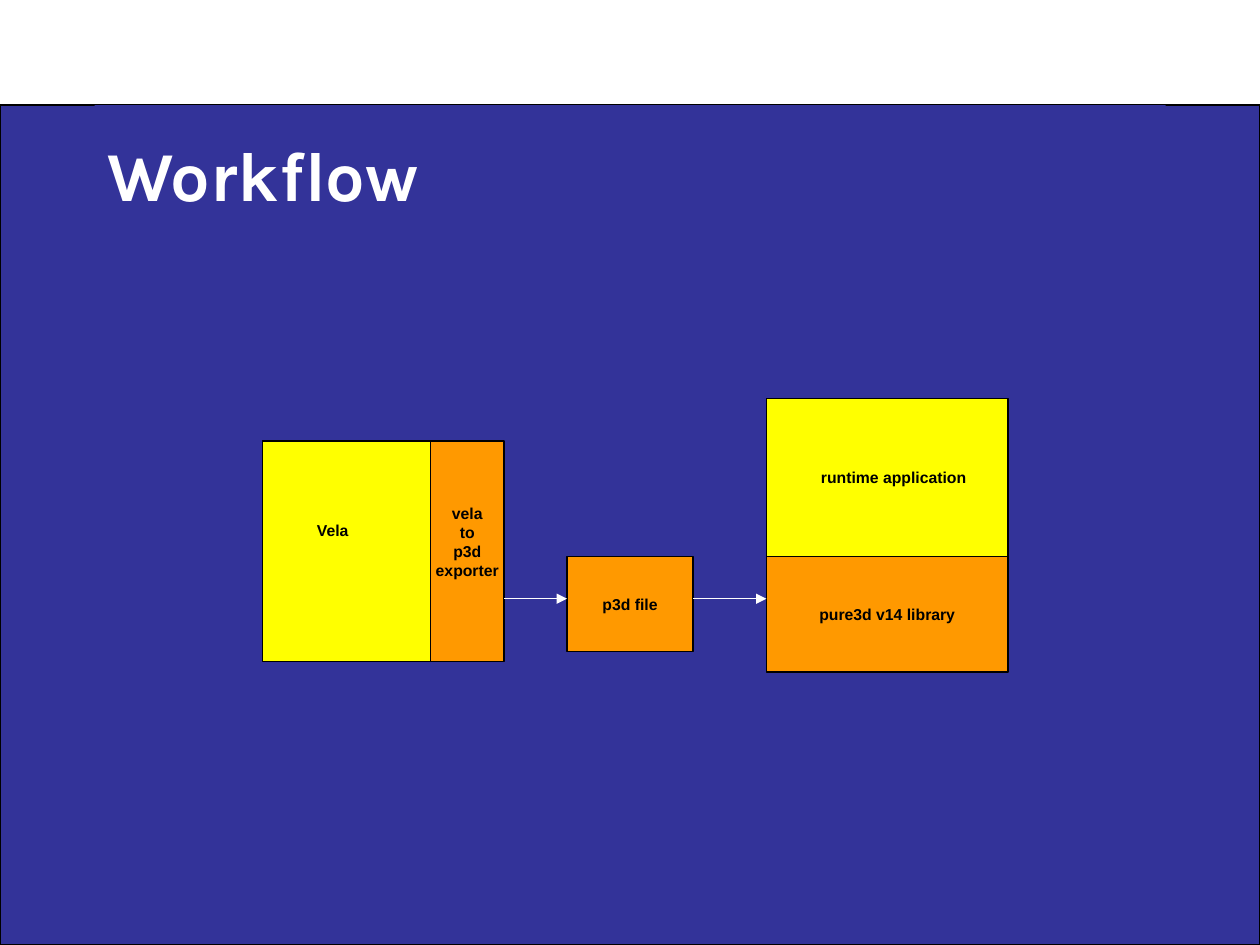
from dataclasses import dataclass

from lxml.etree import SubElement
from pptx import Presentation
from pptx.dml.color import RGBColor
from pptx.enum.shapes import MSO_CONNECTOR, MSO_SHAPE
from pptx.enum.text import MSO_ANCHOR, MSO_AUTO_SIZE, PP_ALIGN
from pptx.oxml.ns import qn
from pptx.util import Cm, Pt


@dataclass(frozen=True)
class Theme:
    panel: RGBColor = RGBColor(0x33, 0x33, 0x99)
    tool: RGBColor = RGBColor(0xFF, 0xFF, 0x00)
    pipeline: RGBColor = RGBColor(0xFF, 0x99, 0x00)
    light: RGBColor = RGBColor(0xFF, 0xFF, 0xFF)
    dark: RGBColor = RGBColor(0x00, 0x00, 0x00)
    title_font: str = "Karla"
    body_font: str = "Arial"
    title_size: Pt = Pt(40)
    body_size: Pt = Pt(9)
    line: Pt = Pt(0.75)


@dataclass(frozen=True)
class Box:
    x: float
    y: float
    w: float
    h: float
    fill: RGBColor
    lines: tuple = ()
    bottom_inset: float = 0.13

    def frame(self) -> tuple:
        return Cm(self.x), Cm(self.y), Cm(self.w), Cm(self.h)


@dataclass(frozen=True)
class Label:
    x: float
    y: float
    w: float
    text: str


@dataclass(frozen=True)
class Arrow:
    start: float
    end: float


T = Theme()
TITLE_FONT = {"name": T.title_font, "size": T.title_size, "bold": True}
BODY_FONT = {"name": T.body_font, "size": T.body_size, "bold": True}

LABEL_H = 0.64
FLOW_Y = 12.07
PANEL = Box(0, 2.12, 25.4, 16.93, T.panel)
BOXES = [
    Box(5.29, 8.89, 3.39, 4.45, T.tool),
    Box(8.68, 8.89, 1.48, 4.45, T.pipeline, ("vela", "to", "p3d", "exporter"), 0.5),
    Box(11.43, 11.22, 2.54, 1.91, T.pipeline, ("p3d file",)),
    Box(15.45, 8.04, 4.87, 3.18, T.tool),
    Box(15.45, 11.22, 4.87, 2.33, T.pipeline, ("pure3d v14 library",)),
]
LABELS = [
    Label(6.14, 10.37, 1.3, "Vela"),
    Label(16.3, 9.31, 3.43, "runtime application"),
]
ARROWS = [Arrow(10.16, 11.43), Arrow(13.97, 15.45)]


def set_font(p, values: dict, color: RGBColor) -> None:
    for name, value in values.items():
        setattr(p.font, name, value)
    p.font.color.rgb = color


def add_box(s, box: Box):
    sp = s.shapes.add_shape(MSO_SHAPE.RECTANGLE, *box.frame())
    sp.shadow.inherit = False
    sp.fill.solid()
    sp.fill.fore_color.rgb = box.fill
    sp.line.color.rgb = T.dark
    sp.line.width = T.line
    if box.lines:
        tf = sp.text_frame
        tf.word_wrap = False
        tf.vertical_anchor = MSO_ANCHOR.MIDDLE
        tf.margin_bottom = Cm(box.bottom_inset)
        tf.text = "\n".join(box.lines)
        for p in tf.paragraphs:
            p.alignment = PP_ALIGN.CENTER
            set_font(p, BODY_FONT, T.dark)
    return sp


def add_label(s, label: Label) -> None:
    sp = s.shapes.add_textbox(Cm(label.x), Cm(label.y), Cm(label.w), Cm(LABEL_H))
    tf = sp.text_frame
    tf.word_wrap = False
    tf.auto_size = MSO_AUTO_SIZE.SHAPE_TO_FIT_TEXT
    tf.text = label.text
    set_font(tf.paragraphs[0], BODY_FONT, T.dark)


def add_arrow(s, arrow: Arrow) -> None:
    cxn = s.shapes.add_connector(
        MSO_CONNECTOR.STRAIGHT, Cm(arrow.start), Cm(FLOW_Y), Cm(arrow.end), Cm(FLOW_Y)
    )
    cxn.line.color.rgb = T.light
    cxn.line.width = T.line
    SubElement(cxn.line._get_or_add_ln(), qn("a:tailEnd"), type="triangle")
    SubElement(cxn.element.spPr, qn("a:effectLst"))


def format_title(title, text: str) -> None:
    title.left, title.top, title.width, title.height = Cm(1.91), Cm(2.12), Cm(21.59), Cm(2.75)
    title.fill.solid()
    title.fill.fore_color.rgb = T.panel
    tf = title.text_frame
    tf.auto_size = MSO_AUTO_SIZE.NONE
    tf.vertical_anchor = MSO_ANCHOR.MIDDLE
    tf.text = text
    p = tf.paragraphs[0]
    p.alignment = PP_ALIGN.LEFT
    set_font(p, TITLE_FONT, T.light)


def main() -> None:
    prs = Presentation()
    prs.slide_width, prs.slide_height = Cm(25.4), Cm(19.05)
    s = prs.slides.add_slide(prs.slide_layouts[5])
    title = s.shapes.title
    title.element.addprevious(add_box(s, PANEL).element)
    format_title(title, "Workflow")
    for box in BOXES:
        add_box(s, box)
    for label in LABELS:
        add_label(s, label)
    for arrow in ARROWS:
        add_arrow(s, arrow)
    prs.save("out.pptx")


if __name__ == "__main__":
    main()
